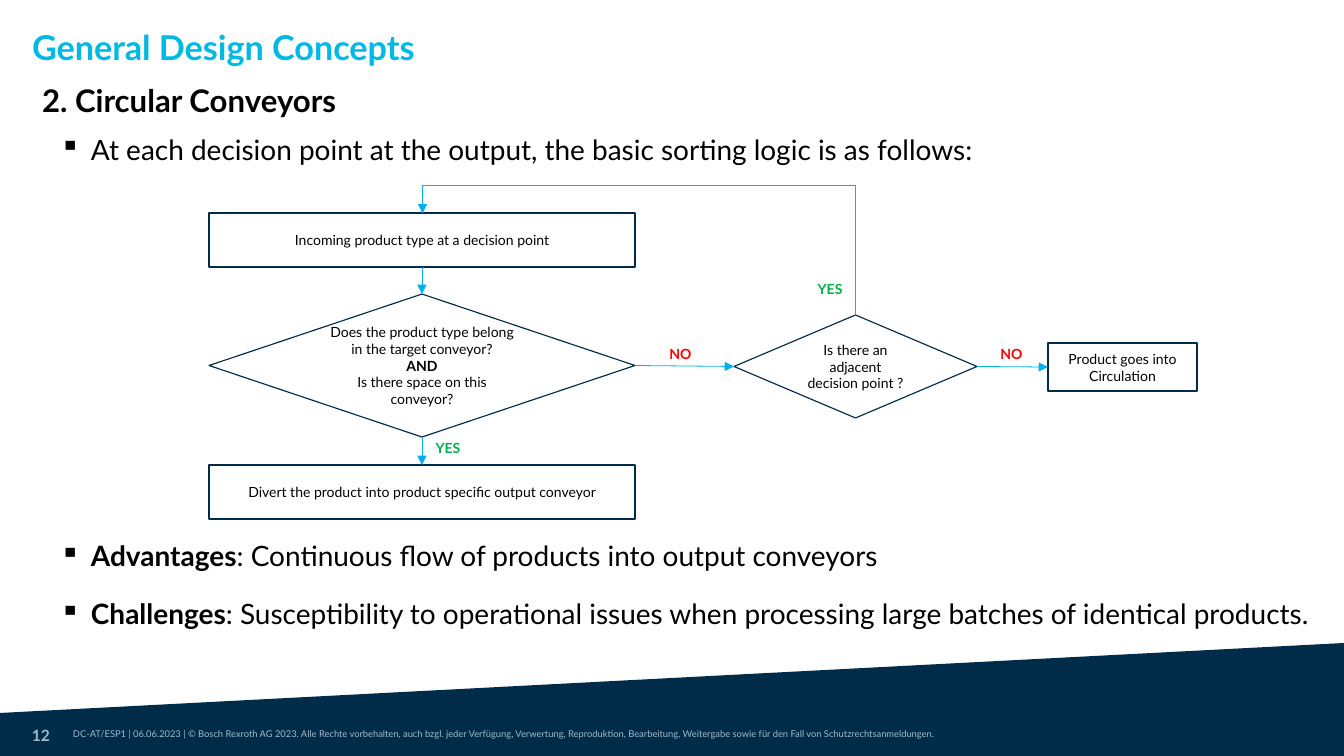
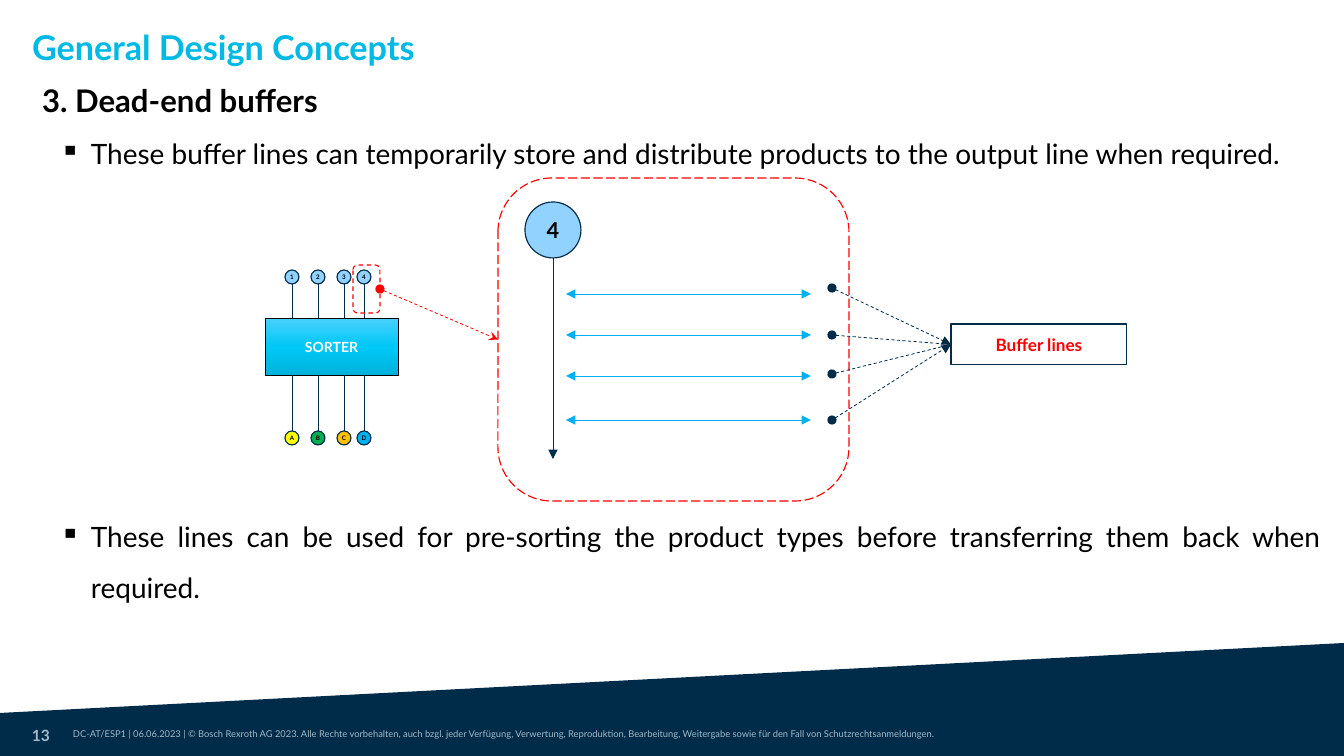
from copy import deepcopy

from lxml import etree
from pptx import Presentation
from pptx import util as u
from pptx.dml.color import RGBColor
from pptx.enum import dml, shapes, text
from pptx.oxml import ns

PX = u.Inches(12) / 1344
FONT = "Lato"
NAVY = RGBColor(0x00, 0x2B, 0x49)
CYAN = RGBColor(0x00, 0xB9, 0xE5)
SKY = RGBColor(0x00, 0xB0, 0xF0)
PALE_BLUE = RGBColor(0x92, 0xD2, 0xFF)
GREY_BLUE = RGBColor(0xA3, 0xBA, 0xC8)
BLACK = RGBColor(0x00, 0x00, 0x00)
WHITE = RGBColor(0xFF, 0xFF, 0xFF)
RED = RGBColor(0xFF, 0x00, 0x00)
GREEN = RGBColor(0x00, 0xB0, 0x50)
YELLOW = RGBColor(0xFF, 0xFF, 0x00)
AMBER = RGBColor(0xFF, 0xC0, 0x00)
SORTER_BLUES = [RGBColor(0x4B, 0xD0, 0xFC), RGBColor(0x00, 0xC8, 0xF7),
                RGBColor(0x00, 0xB2, 0xDB)]

RECT = shapes.MSO_SHAPE.RECTANGLE
ROUNDED = shapes.MSO_SHAPE.ROUNDED_RECTANGLE
DIAMOND = shapes.MSO_SHAPE.DIAMOND
OVAL = shapes.MSO_SHAPE.OVAL
DASH = dml.MSO_LINE.DASH
TOP, LEFT, BOTTOM, RIGHT = range(4)

# Text styles: colour, then font, paragraph and frame attributes
CENTER = {"alignment": text.PP_ALIGN.CENTER}
JUSTIFY = {"alignment": text.PP_ALIGN.JUSTIFY}
MIDDLE = {"vertical_anchor": text.MSO_ANCHOR.MIDDLE, "word_wrap": True}
FLUSH = {"margin_left": 0, "margin_top": 0, "margin_right": 0,
         "margin_bottom": 0, "word_wrap": True}
TIGHT = {**MIDDLE, **FLUSH, "word_wrap": False}
TITLE = (CYAN, {"size": u.Pt(22), "bold": True}, {"line_spacing": 0.89}, FLUSH)
SUBTITLE = (BLACK, {"size": u.Pt(20), "bold": True}, {"line_spacing": 0.89}, FLUSH)
FOOTER = (GREY_BLUE, {"size": u.Pt(6)}, {"line_spacing": 1.07}, FLUSH)
NUMBER = (GREY_BLUE, {"size": u.Pt(10), "bold": True}, {},
          {**FLUSH, "word_wrap": False})
BULLET = (BLACK, {"size": u.Pt(18)}, JUSTIFY, FLUSH)
LOOSE_BULLET = (BLACK, {"size": u.Pt(18)}, {**JUSTIFY, "line_spacing": 1.5}, FLUSH)
LEFT_BULLET = (BLACK, {"size": u.Pt(18)}, {"line_spacing": 1.5}, FLUSH)
STEP = (BLACK, {"size": u.Pt(9)}, CENTER, MIDDLE)
SORTER = (WHITE, {"size": u.Pt(9), "bold": True}, CENTER, MIDDLE)
BUFFER = (RED, {"size": u.Pt(11), "bold": True}, CENTER, MIDDLE)
DOT = (BLACK, {"size": u.Pt(4), "bold": True}, CENTER, TIGHT)
BIG_DOT = (BLACK, {"size": u.Pt(14), "bold": True}, CENTER, TIGHT)
YES = (GREEN, {"size": u.Pt(9), "bold": True}, CENTER, FLUSH)
NO = (RED, {"size": u.Pt(9), "bold": True}, CENTER, FLUSH)


def place(page, area, lines, style, kind=None, fill=None, edge=NAVY,
          weight=0.75, dash=None, bullet=False):
    """Add a text box, or a preset shape if kind is given; a line is a list of (text, bold)."""
    area = [u.Emu(int(n * PX)) for n in area]
    if kind is None:
        box = page.shapes.add_textbox(*area)
    else:
        box = page.shapes.add_shape(kind, *area)
        box.shadow.inherit = False
        if fill is None:
            box.fill.background()
        else:
            box.fill.solid()
            box.fill.fore_color.rgb = fill
        box.line.color.rgb = edge
        box.line.width = u.Pt(weight)
        if dash:
            box.line.dash_style = dash
    color, font_format, para_format, frame_format = style
    frame = box.text_frame
    for name, value in frame_format.items():
        setattr(frame, name, value)
    for i, line in enumerate(lines):
        para = frame.add_paragraph() if i else frame.paragraphs[0]
        if bullet:
            props = para._p.get_or_add_pPr()
            props.set("marL", str(int(31 * PX)))
            props.set("indent", str(-int(31 * PX)))
            etree.SubElement(props, ns.qn("a:buChar")).set("char", "▪")
            para.space_before = u.Pt(5 if i else 0)
        for name, value in para_format.items():
            setattr(para, name, value)
        for words, bold in line:
            span = para.add_run()
            span.text = words
            span.font.name = FONT
            span.font.color.rgb = color
            for name, value in font_format.items():
                setattr(span.font, name, value)
            if bold:
                span.font.bold = True
    return box


def link(page, ends, color=SKY, head=None, tail=None, dash=None, begin=None,
         end=None, kind=shapes.MSO_CONNECTOR.STRAIGHT):
    """Draw a connector; begin and end are (shape, side) pairs to join."""
    wire = page.shapes.add_connector(kind, *[u.Emu(int(n * PX)) for n in ends])
    wire.line.color.rgb = color
    wire.line.width = u.Pt(0.5)
    if dash:
        wire.line.dash_style = dash
    for tag, arrow in (("a:headEnd", head), ("a:tailEnd", tail)):
        if arrow:
            etree.SubElement(wire.line._get_or_add_ln(), ns.qn(tag)).set("type", arrow)
    etree.SubElement(wire.element.spPr, ns.qn("a:effectLst"))
    if begin:
        wire.begin_connect(*begin)
    if end:
        wire.end_connect(*end)
    return wire


deck = Presentation()
deck.slide_width = u.Inches(12)
deck.slide_height = u.Inches(6.75)

# Shared band, footer, number and headings
pages = []
for number, subtitle in ((12, "2. Circular Conveyors"), (13, "3. Dead-end buffers")):
    page = deck.slides.add_slide(deck.slide_layouts[6])
    outline = page.shapes.build_freeform(0, 713, scale=PX)
    outline.add_line_segments([(1344, 643), (1344, 756), (0, 756)])
    band = outline.convert_to_shape()
    band.shadow.inherit = False
    band.fill.solid()
    band.fill.fore_color.rgb = NAVY
    band.line.fill.background()
    for area, words, style in (
        ((73, 727, 1084, 15),
         "DC-AT/ESP1 | 06.06.2023 | © Bosch Rexroth AG 2023. Alle Rechte vorbehalten, "
         "auch bzgl. jeder Verfügung, Verwertung, Reproduktion, Bearbeitung, Weitergabe "
         "sowie für den Fall von Schutzrechtsanmeldungen.", FOOTER),
        ((32, 726, 41, 30), str(number), NUMBER),
        ((42, 86, 1280, 48), subtitle, SUBTITLE),
        ((32, 31, 1280, 48), "General Design Concepts", TITLE),
    ):
        place(page, area, [[(words, False)]], style)
    pages.append(page)
logic_page, buffer_page = pages

# Circular conveyors: flowchart steps
steps = {}
for name, kind, area, lines in (
    ("belongs", DIAMOND, (209, 294, 426, 143),
     [("Does the product type belong in the target conveyor?", False), ("AND", True),
      ("Is there space on this conveyor?", False)]),
    ("circulate", RECT, (1048, 343, 149, 48), [("Product goes into Circulation", False)]),
    ("divert", RECT, (209, 465, 426, 54),
     [("Divert the product into product specific output conveyor", False)]),
    ("incoming", RECT, (209, 213, 426, 54),
     [("Incoming product type at a decision point", False)]),
    ("adjacent", DIAMOND, (734, 315, 243, 103),
     [("Is there an adjacent decision point ?", False)]),
):
    steps[name] = place(logic_page, area, [[line] for line in lines], STEP, kind)

# Circular conveyors: arrows and answers
for start, start_side, goal, goal_side, ends in (
    ("incoming", BOTTOM, "belongs", TOP, (422, 267, 422, 294)),
    ("belongs", BOTTOM, "divert", TOP, (422, 437, 422, 465)),
    ("belongs", RIGHT, "adjacent", LEFT, (635, 365, 734, 366)),
    ("adjacent", RIGHT, "circulate", LEFT, (977, 366, 1048, 367)),
):
    link(logic_page, ends, tail="triangle", begin=(steps[start], start_side),
         end=(steps[goal], goal_side))

loop = link(logic_page, (855, 315, 422, 213), tail="triangle",
            begin=(steps["adjacent"], TOP), end=(steps["incoming"], TOP),
            kind=shapes.MSO_CONNECTOR.ELBOW)
# Turn the elbow so that it leaves upwards and passes above the first step
for name, value in {"left": 588, "top": 48, "width": 102, "height": 433}.items():
    setattr(loop, name, u.Emu(int(value * PX)))
turn = loop.element.spPr.xfrm
turn.set("rot", "16200000")
turn.flipH, turn.flipV = False, True
guides = loop.element.spPr.prstGeom.get_or_add_avLst()
bend = etree.SubElement(guides, ns.qn("a:gd"))
bend.set("name", "adj1")
bend.set("fmla", "val 127600")

for words, style, area in (
    ("NO", NO, (652, 345, 57, 22)), ("NO", NO, (983, 345, 57, 22)),
    ("YES", YES, (428, 440, 40, 21)), ("YES", YES, (810, 281, 40, 21)),
):
    place(logic_page, area, [[(words, False)]], style)

# Circular conveyors: bullets
place(logic_page, (60, 132, 1261, 46),
      [[("At each decision point at the output, the basic sorting logic is as follows:",
         False)]], BULLET, bullet=True)
place(logic_page, (60, 522, 1261, 123), [
    [("Advantages", True), (": Continuous flow of products into output conveyors", False)],
    [("Challenges", True), (": Susceptibility to operational issues when processing large "
                            "batches of identical products.", False)],
], LEFT_BULLET, bullet=True)

# Dead-end buffers: sorter with its inputs and outputs
sorter = place(buffer_page, (265, 318, 133, 57), [[("SORTER", False)]], SORTER,
               RECT, edge=BLACK, weight=0.5)
sorter.fill.gradient()
sorter.fill.gradient_angle = 270
first, last = sorter.fill.gradient_stops
first.color.rgb, last.color.rgb = SORTER_BLUES[0], SORTER_BLUES[2]
first.position, last.position = 0, 1
stops = sorter.element.spPr.find(ns.qn("a:gradFill")).find(ns.qn("a:gsLst"))
middle = deepcopy(stops[0])
middle.set("pos", "50000")
middle[0].set("val", str(SORTER_BLUES[1]))
stops.insert(1, middle)

for x, digit, letter, color in ((292, "1", "A", YELLOW), (318, "2", "B", GREEN),
                                (344, "3", "C", AMBER), (364, "4", "D", SKY)):
    for y, words, fill in ((270, digit, PALE_BLUE), (431, letter, color)):
        place(buffer_page, (x - 7, y, 14, 14), [[(words, False)]], DOT, OVAL, fill)
    for upper, lower in ((284, 318), (375, 431)):
        link(buffer_page, (x, upper, x, lower), NAVY)

# Dead-end buffers: enlarged line 4
callout = place(buffer_page, (353, 265, 27, 48), [], STEP, ROUNDED, edge=RED, dash=DASH)
place(buffer_page, (525, 202, 56, 56), [[("4", False)]], BIG_DOT, OVAL, PALE_BLUE)
link(buffer_page, (553, 258, 553, 459), NAVY, tail="triangle")
for y in (294, 335, 376, 420):
    link(buffer_page, (566, y, 811, y), head="triangle", tail="triangle")
detail = place(buffer_page, (498, 178, 351, 323), [], STEP, ROUNDED, edge=RED,
               dash=dml.MSO_LINE.LONG_DASH)
link(buffer_page, (380, 289, 498, 339), RED, "oval", "stealth", DASH,
     (callout, RIGHT), (detail, LEFT))

# Dead-end buffers: pointers to the label
label = place(buffer_page, (951, 324, 176, 41), [[("Buffer lines", False)]], BUFFER, RECT)
for y, tail in ((288, "triangle"), (335, None), (374, None), (420, "triangle")):
    link(buffer_page, (832, y, 951, 344), NAVY, "oval", tail, DASH, end=(label, LEFT))

# Dead-end buffers: bullets
for y, words in (
    (120, "These buffer lines can temporarily store and distribute products to the "
          "output line when required."),
    (503, "These lines can be used for pre-sorting the product types before "
          "transferring them back when required."),
):
    place(buffer_page, (60, y, 1261, 94), [[(words, False)]], LOOSE_BULLET, bullet=True)

deck.save("out.pptx")
